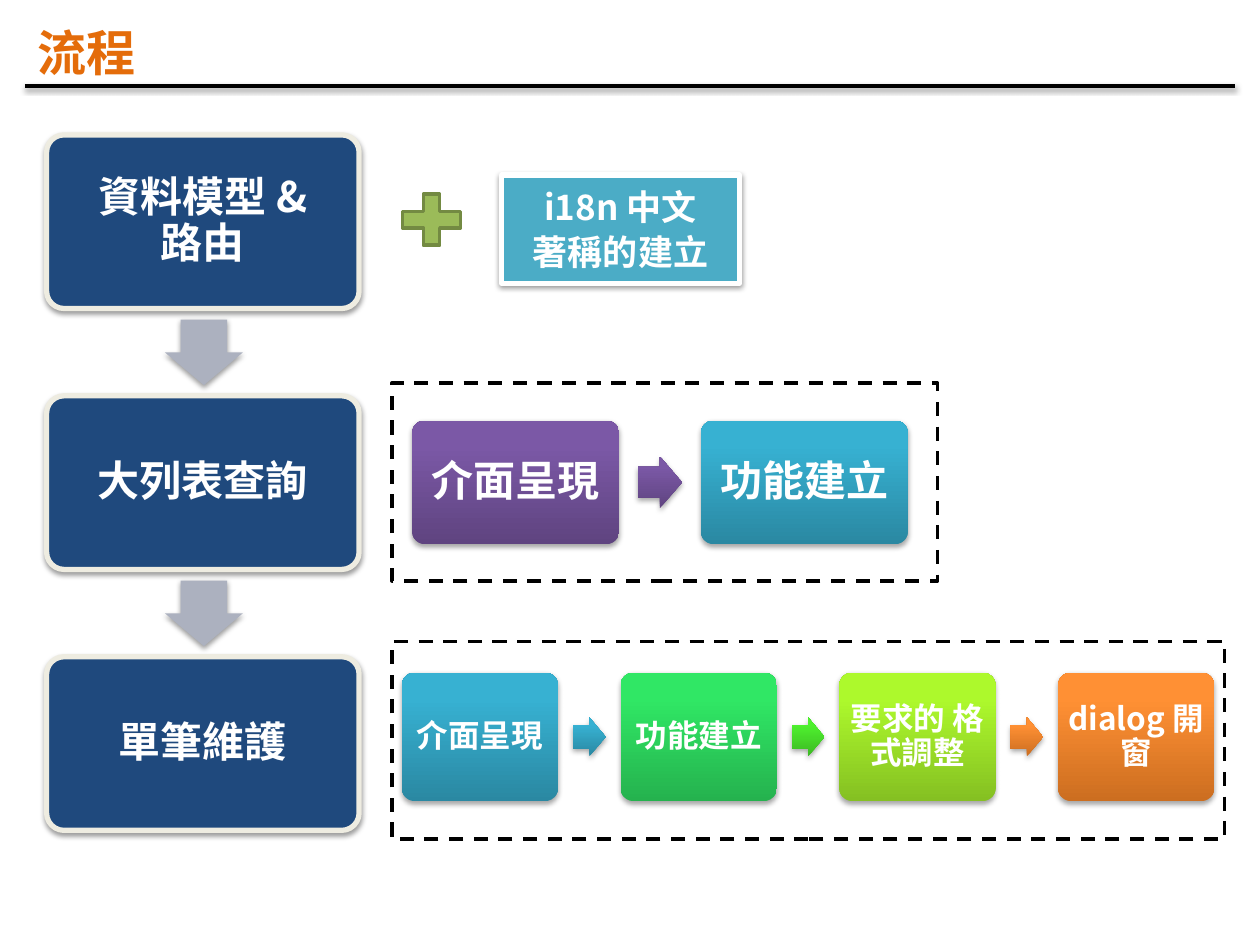
from lxml import etree
from pptx import Presentation
from pptx.dml.color import RGBColor
from pptx.enum.dml import MSO_LINE
from pptx.enum.shapes import MSO_CONNECTOR, MSO_SHAPE
from pptx.enum.text import MSO_ANCHOR, PP_ALIGN
from pptx.oxml.ns import qn
from pptx.util import Cm, Pt

ROUNDED, RECT = MSO_SHAPE.ROUNDED_RECTANGLE, MSO_SHAPE.RECTANGLE
ARROW, PLUS = MSO_SHAPE.RIGHT_ARROW, MSO_SHAPE.MATH_PLUS
STRAIGHT, DASH = MSO_CONNECTOR.STRAIGHT, MSO_LINE.DASH
CENTER, LEFT = PP_ALIGN.CENTER, PP_ALIGN.LEFT
MIDDLE = MSO_ANCHOR.MIDDLE

FONT = "Noto Sans CJK SC"
WHITE = RGBColor(0xFF, 0xFF, 0xFF)
BLACK = RGBColor(0x00, 0x00, 0x00)
TITLE_ORANGE = RGBColor(0xE4, 0x6C, 0x0A)
NAVY = RGBColor(0x1F, 0x49, 0x7D)
CREAM = RGBColor(0xEE, 0xEC, 0xE1)
GREY = RGBColor(0xAC, 0xB1, 0xBF)
AQUA = RGBColor(0x4B, 0xAC, 0xC6)
OLIVE = RGBColor(0x9B, 0xBB, 0x59)
DARK_OLIVE = RGBColor(0x73, 0x8A, 0x42)

# Gradients: (bottom, top)
TEAL = (RGBColor(0x2A, 0x88, 0xA2), RGBColor(0x37, 0xB1, 0xD2))
PURPLE = (RGBColor(0x5F, 0x44, 0x80), RGBColor(0x7B, 0x58, 0xA6))
GREEN = (RGBColor(0x25, 0xB2, 0x4E), RGBColor(0x30, 0xE7, 0x65))
LEAF = (RGBColor(0x3C, 0xB9, 0x23), RGBColor(0x4E, 0xF0, 0x2E))
LIME = (RGBColor(0x85, 0xC0, 0x22), RGBColor(0xAD, 0xF9, 0x2C))
ORANGE = (RGBColor(0xCC, 0x6E, 0x20), RGBColor(0xFF, 0x90, 0x34))


def set_shadow(shape, opacity):
    """Add a soft shadow below the shape, or none when opacity is 0."""
    effects = etree.SubElement(shape.element.spPr, qn("a:effectLst"))
    if opacity:
        shadow = etree.SubElement(effects, qn("a:outerShdw"), blurRad=str(Pt(3.1)),
                                  dist=str(Pt(1.6)), dir="5400000", rotWithShape="0")
        color = etree.SubElement(shadow, qn("a:srgbClr"), val=str(BLACK))
        etree.SubElement(color, qn("a:alpha"), val=str(opacity * 1000))


def set_fill(shape, fill):
    if fill is None:
        shape.fill.background()
    elif isinstance(fill, RGBColor):
        shape.fill.solid()
        shape.fill.fore_color.rgb = fill
    else:
        shape.fill.gradient()
        shape.fill.gradient_angle = 90
        for stop, color, position in zip(shape.fill.gradient_stops, fill, (0, 0.8)):
            stop.color.rgb, stop.position = color, position


def set_line(line, color, width, dash=None):
    line.color.rgb = color
    line.width = Pt(width)
    if dash is not None:
        line.dash_style = dash


def write_text(shape, text, size=24, color=WHITE, align=CENTER, spacing=0.9,
               gap=0, inset=0.25, wrap=True):
    frame = shape.text_frame
    frame.word_wrap = wrap
    frame.vertical_anchor = MIDDLE
    frame.margin_left = frame.margin_right = Cm(inset)
    frame.margin_top = frame.margin_bottom = Cm(0.13)
    for index, words in enumerate(text.split("\n")):
        paragraph = frame.add_paragraph() if index else frame.paragraphs[0]
        paragraph.text = words
        paragraph.alignment = align
        paragraph.line_spacing = spacing
        paragraph.space_before = Pt(gap if index else 0)
        for run in paragraph.runs:
            run.font.size, run.font.bold = Pt(size), True
            run.font.color.rgb = color
            run.font.name = FONT
            etree.SubElement(run._r.get_or_add_rPr(), qn("a:ea"), typeface=FONT)


def add_block(slide, kind, left, top, width, height, fill=None, line=None,
              shadow=0, adjust=()):
    block = slide.shapes.add_shape(kind, Cm(left), Cm(top), Cm(width), Cm(height))
    for index, value in enumerate(adjust):
        block.adjustments[index] = value
    set_fill(block, fill)
    if line:
        set_line(block.line, *line)
    else:
        block.line.fill.background()
    set_shadow(block, shadow)
    return block


def add_arrow(slide, left, top, width, height, fill, shadow=35):
    return add_block(slide, ARROW, left, top, width, height, fill,
                     shadow=shadow, adjust=(0.6, 0.5))


def add_main_steps(slide, steps, left=0.94, top=2.72, pitch=5.26):
    for index, words in enumerate(steps):
        step_top = top + index * pitch
        step = add_block(slide, ROUNDED, left, step_top, 6.3, 3.5, NAVY,
                         (CREAM, 3), 38, (0.1,))
        write_text(step, words)
        if index < len(steps) - 1:
            arrow = add_arrow(slide, left + 2.51, step_top + 3.6, 1.32, 1.57, GREY, 38)
            arrow.rotation = 90


def add_sub_steps(slide, steps, arrow_fills, left, top, width, height, pitch,
                  arrow_size, text_size):
    """Draw a row of steps with an arrow in each gap."""
    arrow_width, arrow_height = arrow_size
    arrow_offset = (width + pitch - arrow_width) / 2
    arrow_top = top + (height - arrow_height) / 2
    for index, (words, fill) in enumerate(steps):
        step_left = left + index * pitch
        step = add_block(slide, ROUNDED, step_left, top, width, height, fill,
                         shadow=35, adjust=(0.1,))
        write_text(step, words, size=text_size, inset=0.08)
        if index < len(arrow_fills):
            add_arrow(slide, step_left + arrow_offset, arrow_top, arrow_width,
                      arrow_height, arrow_fills[index])


def main():
    deck = Presentation()
    deck.slide_width, deck.slide_height = Cm(25.4), Cm(19.05)
    slide = deck.slides.add_slide(deck.slide_layouts[6])

    # Main flow
    add_main_steps(slide, ["資料模型 &\v路由", "大列表查詢", "單筆維護"])

    # List query steps
    dashed = (BLACK, 2, DASH)
    add_block(slide, RECT, 7.9, 7.72, 11, 3.99, line=dashed)
    add_sub_steps(slide, [("介面呈現", PURPLE), ("功能建立", TEAL)], [PURPLE],
                  8.31, 8.48, 4.17, 2.49, 5.82, (0.89, 1.04), 24)

    # Single record steps
    add_block(slide, RECT, 7.9, 12.93, 16.79, 3.99, line=dashed)
    record_steps = [("介面呈現", TEAL), ("功能建立", GREEN),
                    ("要求的 格式調整", LIME), ("dialog 開窗", ORANGE)]
    add_sub_steps(slide, record_steps, [TEAL, LEAF, ORANGE],
                  8.1, 13.56, 3.15, 2.59, 4.41, (0.66, 0.79), 18)

    # Title and rule
    rule = slide.shapes.add_connector(STRAIGHT, Cm(0.5), Cm(1.73), Cm(24.9), Cm(1.73))
    set_line(rule.line, BLACK, 2)
    set_shadow(rule, 38)
    title = slide.shapes.add_textbox(Cm(0.5), Cm(0.33), Cm(2.51), Cm(1.45))
    write_text(title, "流程", size=28, color=TITLE_ORANGE, align=LEFT, spacing=1.0,
               wrap=False)

    # Translation add-on
    add_block(slide, PLUS, 7.9, 3.73, 1.6, 1.4, OLIVE, (DARK_OLIVE, 2))
    translation = add_block(slide, RECT, 10.11, 3.53, 4.8, 2.18, AQUA, (WHITE, 3), 38)
    write_text(translation, "i18n 中文\n著稱的建立", size=20, spacing=1.0, gap=1.5)

    deck.save("out.pptx")


if __name__ == "__main__":
    main()
